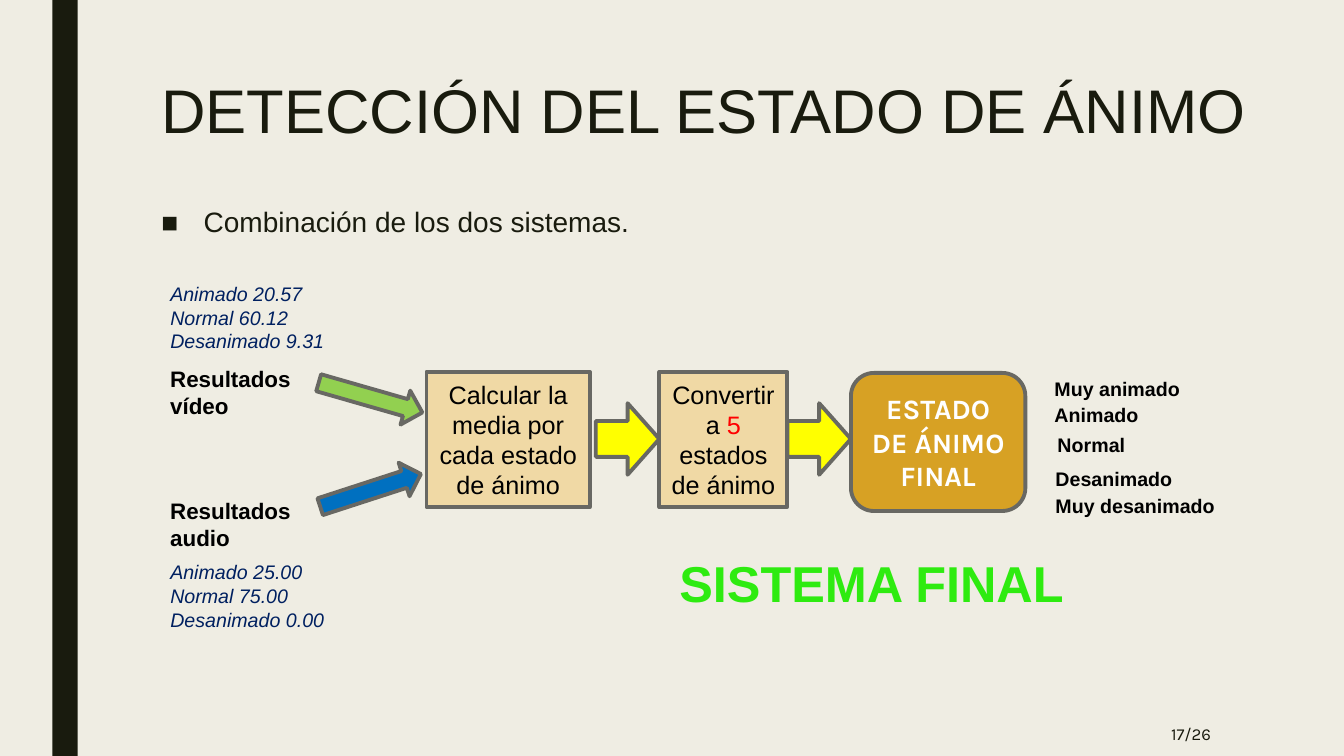
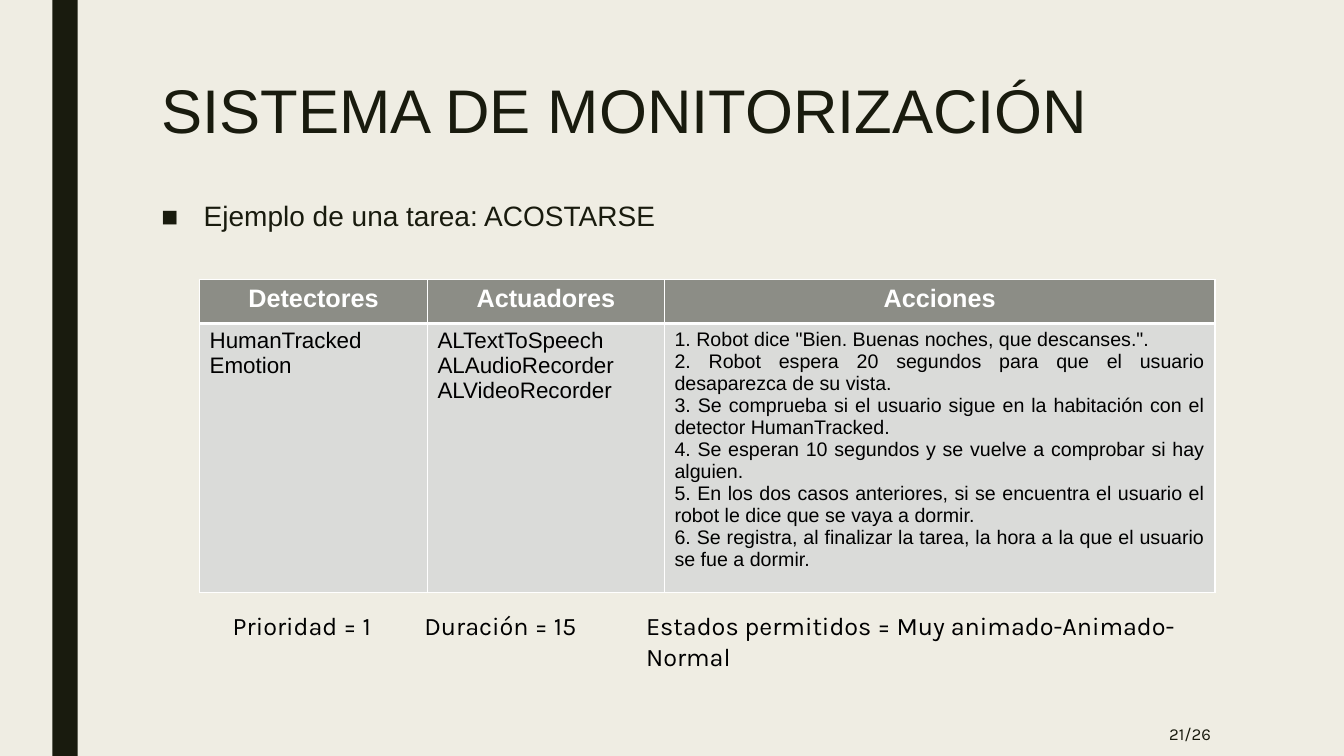
from dataclasses import dataclass

from lxml import etree
from pptx import Presentation
from pptx import util as u
from pptx.dml import color
from pptx.enum import shapes, text
from pptx.oxml import ns

ALIGN = text.PP_ALIGN
PRESET = shapes.MSO_SHAPE


@dataclass(frozen=True)
class Theme:
    sans: str = "Arial"
    accent: str = "Karla"
    paper: str = "EFEDE3"
    ink: str = "191B0E"
    black: str = "000000"
    white: str = "FFFFFF"
    navy: str = "002060"
    red: str = "FF0000"
    lime: str = "2EEB10"
    outline: str = "686863"
    sand: str = "F0D9A5"
    gold: str = "D7A124"
    green: str = "92D050"
    blue: str = "0070C0"
    yellow: str = "FFFF00"
    header: str = "8C8D86"
    cell: str = "DADBD9"
    title: int = 44
    banner: int = 36
    body: int = 20
    step: int = 18
    caption: int = 16
    small: int = 14
    number: int = 12
    stroke: float = 2.75


def rgb(value):
    return color.RGBColor.from_string(value)


def area(left, top, width, height):
    return [u.Inches(n) for n in (left, top, width, height)]


class Deck:
    def __init__(self, theme):
        self.theme = theme
        self.prs = Presentation()
        self.prs.slide_width = u.Inches(13.33)
        self.prs.slide_height = u.Inches(7.5)
        fill = self.prs.slide_master.background.fill
        fill.solid()
        fill.fore_color.rgb = rgb(theme.paper)
        self.slide = None

    def set_lines(self, frame, lines, size, ink, font=None, bold=False,
                  italic=False, align=ALIGN.LEFT):
        frame.text = "\n".join(lines)
        for paragraph in frame.paragraphs:
            paragraph.alignment = align
            for run in paragraph.runs:
                self.style(run, size, ink, font, bold, italic)

    def style(self, run, size, ink, font=None, bold=False, italic=False):
        run.font.name = font or self.theme.sans
        run.font.size = u.Pt(size)
        run.font.bold = bold
        run.font.italic = italic
        run.font.color.rgb = rgb(ink)

    def new_slide(self, title, bullet, bullet_top, number):
        t = self.theme
        self.slide = self.prs.slides.add_slide(self.prs.slide_layouts[1])
        self.shape(PRESET.RECTANGLE, (0.52, 0, 0.25, 7.5), t.ink, outlined=False)
        heading, body = self.slide.placeholders
        self.placeholder(heading, title, (1.5, 0.75, 11.3, 0.95), t.title, 0.89)
        self.placeholder(body, bullet, (1.5, bullet_top, 11.3, 0.63), t.body,
                         0.94, "■")
        page = self.label([number], (10.36, 7.06, 1.75, 0.44), t.number, t.ink,
                          font=t.accent, align=ALIGN.RIGHT)
        page.vertical_anchor = text.MSO_ANCHOR.MIDDLE

    def placeholder(self, holder, line, box, size, spacing, bullet=None):
        holder.left, holder.top, holder.width, holder.height = area(*box)
        frame = holder.text_frame
        frame.auto_size = text.MSO_AUTO_SIZE.NONE
        frame.vertical_anchor = text.MSO_ANCHOR.TOP
        self.set_lines(frame, [line], size, self.theme.ink)
        paragraph = frame.paragraphs[0]
        if bullet:
            props = paragraph._p.get_or_add_pPr()
            props.set("marL", str(u.Inches(0.42)))
            props.set("indent", str(-u.Inches(0.42)))
            etree.SubElement(props, ns.qn("a:buFont"), typeface=self.theme.sans)
            etree.SubElement(props, ns.qn("a:buChar"), char=bullet)
        paragraph.line_spacing = spacing
        paragraph.space_before = u.Pt(0)

    def label(self, lines, box, size, ink, **look):
        frame = self.slide.shapes.add_textbox(*area(*box)).text_frame
        frame.word_wrap = True
        self.set_lines(frame, lines, size, ink, **look)
        return frame

    def shape(self, preset, box, fill, outlined=True, rotation=0):
        shape = self.slide.shapes.add_shape(preset, *area(*box))
        shape.shadow.inherit = False
        shape.rotation = rotation
        shape.fill.solid()
        shape.fill.fore_color.rgb = rgb(fill)
        if outlined:
            shape.line.color.rgb = rgb(self.theme.outline)
            shape.line.width = u.Pt(self.theme.stroke)
        else:
            shape.line.fill.background()
        return shape

    def arrow(self, box, fill, rotation=0):
        self.shape(PRESET.RIGHT_ARROW, box, fill, rotation=rotation)

    def step(self, preset, lines, box, fill, size, ink, **look):
        frame = self.shape(preset, box, fill).text_frame
        frame.word_wrap = True
        frame.vertical_anchor = text.MSO_ANCHOR.MIDDLE
        self.set_lines(frame, lines, size, ink, align=ALIGN.CENTER, **look)
        return frame.paragraphs[0]

    def table(self, origin, widths, heights, headers, columns, sizes):
        t = self.theme
        box = (*origin, sum(widths), sum(heights))
        grid = self.slide.shapes.add_table(2, len(widths), *area(*box)).table
        for row, height in zip(grid.rows, heights):
            row.height = u.Inches(height)
        for i, width in enumerate(widths):
            grid.columns[i].width = u.Inches(width)
            head, content = grid.cell(0, i), grid.cell(1, i)
            self.set_lines(head.text_frame, [headers[i]], t.step, t.white,
                           bold=True, align=ALIGN.CENTER)
            self.set_lines(content.text_frame, columns[i], sizes[i], t.black)
            self.paint_cell(head, t.header, bottom=3)
            self.paint_cell(content, t.cell, top=3)
        return grid

    def paint_cell(self, cell, fill, top=1, bottom=1):
        props = cell._tc.get_or_add_tcPr()
        for side, points in (("L", 1), ("R", 1), ("T", top), ("B", bottom)):
            edge = etree.SubElement(props, ns.qn(f"a:ln{side}"), w=str(u.Pt(points)))
            solid = etree.SubElement(edge, ns.qn("a:solidFill"))
            etree.SubElement(solid, ns.qn("a:srgbClr"), val=self.theme.white)
        cell.fill.solid()
        cell.fill.fore_color.rgb = rgb(fill)


def mood_slide(deck):
    t = deck.theme
    deck.new_slide("DETECCIÓN DEL ESTADO DE ÁNIMO",
                   "Combinación de los dos sistemas.", 2.01, "17/26")

    deck.step(PRESET.RECTANGLE, ["Calcular la media por cada estado de ánimo"],
              (4.23, 3.69, 1.62, 1.34), t.sand, t.step, t.black)
    convert = deck.step(PRESET.RECTANGLE, ["Convertir a "],
                        (6.54, 3.69, 1.27, 1.34), t.sand, t.step, t.black)
    for words, ink in (("5", t.red), (" estados de ánimo", t.black)):
        run = convert.add_run()
        run.text = words
        deck.style(run, t.step, ink)
    deck.step(PRESET.ROUNDED_RECTANGLE, ["ESTADO DE ÁNIMO", "FINAL"],
              (8.44, 3.7, 1.73, 1.37), t.gold, t.body, t.white,
              font=t.accent, bold=True)

    deck.arrow((3.15, 4.69, 1.05, 0.35), t.blue, 342)
    deck.arrow((3.14, 3.77, 1.07, 0.35), t.green, 16)
    for left in (5.91, 7.81):
        deck.arrow((left, 4, 0.63, 0.71), t.yellow)

    for source, top in (("Resultados vídeo", 3.57), ("Resultados audio", 4.88)):
        deck.label([source], (1.59, top, 1.64, 0.64), t.caption, t.black, bold=True)
    scores = (
        (2.75, ["Animado 20.57", "Normal 60.12", "Desanimado 9.31"]),
        (5.51, ["Animado 25.00", "Normal 75.00", "Desanimado 0.00"]),
    )
    for top, lines in scores:
        deck.label(lines, (1.59, top, 2.51, 0.81), t.small, t.navy, italic=True)

    moods = (("Muy animado", 10.36, 3.69), ("Animado", 10.36, 3.95),
             ("Normal", 10.39, 4.25), ("Desanimado", 10.37, 4.58),
             ("Muy desanimado", 10.37, 4.85))
    for mood, left, top in moods:
        deck.label([mood], (left, top, 2.2, 0.34), t.small, t.black, bold=True)
    deck.label(["SISTEMA FINAL"], (6.64, 5.43, 4.56, 0.71), t.banner, t.lime,
               bold=True)


def monitoring_slide(deck):
    t = deck.theme
    deck.new_slide("SISTEMA DE MONITORIZACIÓN",
                   "Ejemplo de una tarea: ACOSTARSE", 1.95, "21/26")

    detectors = ["HumanTracked", "Emotion"]
    actuators = ["ALTextToSpeech", "ALAudioRecorder", "ALVideoRecorder"]
    actions = [
        "1. Robot dice \"Bien. Buenas noches, que descanses.\".",
        "2. Robot espera 20 segundos para que el usuario desaparezca de su vista.",
        "3. Se comprueba si el usuario sigue en la habitación con el detector "
        "HumanTracked.",
        "4. Se esperan 10 segundos y se vuelve a comprobar si hay alguien.",
        "5. En los dos casos anteriores, si se encuentra el usuario el robot le "
        "dice que se vaya a dormir.",
        "6. Se registra, al finalizar la tarea, la hora a la que el usuario se "
        "fue a dormir.",
    ]
    task = deck.table((1.98, 2.77), (2.26, 2.35, 5.46), (0.44, 2.51),
                      ("Detectores", "Actuadores", "Acciones"),
                      (detectors, actuators, actions),
                      (t.caption, t.caption, t.small))
    for action in task.cell(1, 2).text_frame.paragraphs[1:]:
        action.alignment = ALIGN.JUSTIFY

    settings = (("Prioridad = 1", 2.21, 1.62), ("Duración = 15", 4.11, 1.79),
                ("Estados permitidos = Muy animado-Animado-Normal", 6.31, 5.8))
    for setting, left, width in settings:
        deck.label([setting], (left, 6.01, width, 0.4), t.step, t.black,
                   font=t.accent)


def main():
    deck = Deck(Theme())
    mood_slide(deck)
    monitoring_slide(deck)
    deck.prs.save("out.pptx")


if __name__ == "__main__":
    main()
